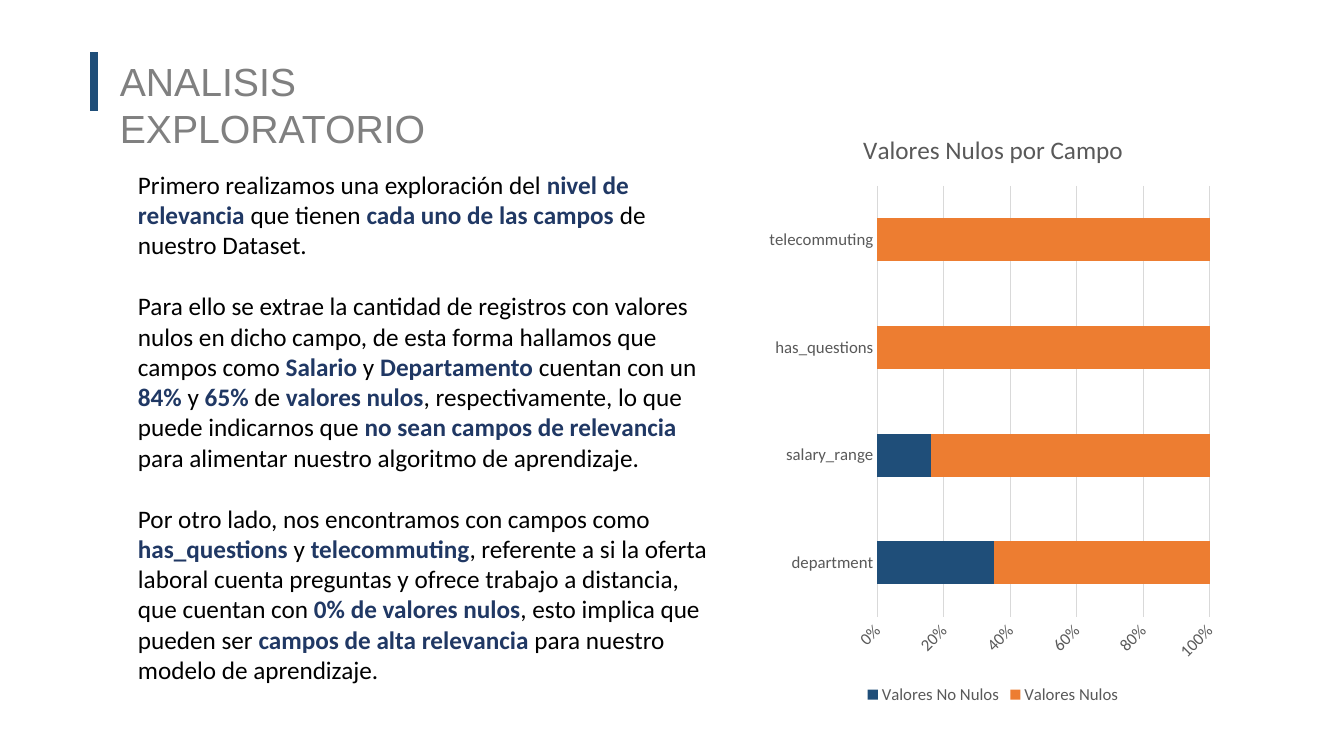
from dataclasses import dataclass

from lxml.etree import SubElement
from pptx import Presentation
from pptx.chart.data import CategoryChartData
from pptx.dml.color import RGBColor as RGB
from pptx.enum.chart import XL_CHART_TYPE as ChartType
from pptx.enum.chart import XL_LEGEND_POSITION as LegendPos
from pptx.enum.chart import XL_TICK_MARK as Tick
from pptx.enum.shapes import MSO_CONNECTOR as Connector
from pptx.oxml.ns import qn
from pptx.util import Inches, Pt


@dataclass(frozen=True)
class Theme:
    heading_font: str = "Arial"
    body_font: str = "Calibri"
    heading: RGB = RGB(0x80, 0x80, 0x80)
    body: RGB = RGB(0, 0, 0)
    strong: RGB = RGB(0x20, 0x38, 0x64)
    accent: RGB = RGB(0x1F, 0x4E, 0x79)
    contrast: RGB = RGB(0xED, 0x7D, 0x31)
    label: RGB = RGB(0x59, 0x59, 0x59)
    grid: RGB = RGB(0xD9, 0xD9, 0xD9)
    heading_size: Pt = Pt(28)
    body_size: Pt = Pt(18)
    label_size: Pt = Pt(12)
    paragraph_gap: Pt = Pt(22)
    bar_width: Pt = Pt(6)
    hairline: Pt = Pt(0.75)


T = Theme()
WIDTH, HEIGHT = Inches(13.33), Inches(7.5)

# Shares of the slide in percent: left, top, width, height
HEADING_BAR = (7, 6.93, 0, 7.74)
HEADING_BOX = (8.18, 6.93, 32.86, 7.6)
BODY_BOX = (9.53, 21.73, 43.96, 70)
CHART_BOX = (56.56, 14.67, 34.66, 79.07)

# Asterisks enclose the emphasised words
PARAGRAPHS = [
    "Primero realizamos una exploración del *nivel de relevancia *que tienen "
    "*cada uno de las campos *de nuestro Dataset.",
    "Para ello se extrae la cantidad de registros con valores nulos en dicho campo, "
    "de esta forma hallamos que campos como *Salario* y *Departamento* cuentan con un "
    "*84%* y *65%* de *valores nulos*, respectivamente, lo que puede indicarnos que "
    "*no sean campos de relevancia *para alimentar nuestro algoritmo de aprendizaje.",
    "Por otro lado, nos encontramos con campos como *has_questions *y *telecommuting*, "
    "referente a si la oferta laboral cuenta preguntas y ofrece trabajo a distancia, "
    "que cuentan con *0% de valores nulos*, esto implica que pueden ser "
    "*campos de alta relevancia *para nuestro modelo de aprendizaje.",
]
NULL_SHARES = {"department": 65, "salary_range": 84, "has_questions": 100, "telecommuting": 100}


def place(box):
    """Turn percent shares of the slide into lengths."""
    return [int(side * share / 100) for side, share in zip((WIDTH, HEIGHT) * 2, box)]


def set_font(font, name, size, color):
    font.name, font.size = name, size
    font.color.rgb = color


def add_bar(slide, box):
    x, y, w, h = place(box)
    line = slide.shapes.add_connector(Connector.STRAIGHT, x, y, x + w, y + h)
    line.line.color.rgb = T.accent
    line.line.width = T.bar_width
    SubElement(line._element.spPr, qn("a:effectLst"))


def add_text_frame(slide, box):
    tf = slide.shapes.add_textbox(*place(box)).text_frame
    tf.word_wrap = True
    return tf


def add_heading(slide, box, text):
    p = add_text_frame(slide, box).paragraphs[0]
    p.text = text
    set_font(p.font, T.heading_font, T.heading_size, T.heading)


def add_body(slide, box, paragraphs):
    tf = add_text_frame(slide, box)
    for i, text in enumerate(paragraphs):
        p = tf.add_paragraph() if i else tf.paragraphs[0]
        if i:
            p.space_before = T.paragraph_gap
        set_font(p.font, T.body_font, T.body_size, T.body)
        for j, piece in enumerate(text.split("*")):
            r = p.add_run()
            r.text = piece
            if j % 2:
                r.font.bold = True
                r.font.color.rgb = T.strong


def style_axis(axis):
    axis.major_tick_mark = axis.minor_tick_mark = Tick.NONE
    set_font(axis.tick_labels.font, T.body_font, T.label_size, T.label)


def style_line(line):
    line.color.rgb = T.grid
    line.width = T.hairline


def add_null_chart(slide, box, title, shares):
    data = CategoryChartData(number_format="0")
    data.categories = list(shares)
    data.add_series("Valores No Nulos", [100 - share for share in shares.values()])
    data.add_series("Valores Nulos", list(shares.values()))
    chart = slide.shapes.add_chart(ChartType.BAR_STACKED_100, *place(box), data).chart
    set_font(chart.font, T.body_font, T.label_size, T.label)

    p = chart.chart_title.text_frame.paragraphs[0]
    p.text = title
    set_font(p.font, T.body_font, T.body_size, T.label)
    p.font.bold = False
    chart.chart_title.include_in_layout = False

    plot = chart.plots[0]
    plot.gap_width, plot.overlap = 150, 100
    plot.vary_by_categories = False
    for series, color in zip(plot.series, (T.accent, T.contrast)):
        series.format.fill.solid()
        series.format.fill.fore_color.rgb = color

    fields, percent = chart.category_axis, chart.value_axis
    style_axis(fields)
    style_line(fields.format.line)
    style_axis(percent)
    percent.format.line.fill.background()
    percent.has_major_gridlines = True
    style_line(percent.major_gridlines.format.line)
    percent.tick_labels.number_format = "0%"
    percent.tick_labels.number_format_is_linked = False
    percent._element.find(qn("c:txPr")).find(qn("a:bodyPr")).set("rot", "-2700000")

    chart.has_legend = True
    chart.legend.position = LegendPos.BOTTOM
    chart.legend.include_in_layout = False
    set_font(chart.legend.font, T.body_font, T.label_size, T.label)


def main():
    prs = Presentation()
    prs.slide_width, prs.slide_height = WIDTH, HEIGHT
    slide = prs.slides.add_slide(prs.slide_layouts[6])
    add_bar(slide, HEADING_BAR)
    add_heading(slide, HEADING_BOX, "ANALISIS EXPLORATORIO")
    add_body(slide, BODY_BOX, PARAGRAPHS)
    add_null_chart(slide, CHART_BOX, "Valores Nulos por Campo", NULL_SHARES)
    prs.save("out.pptx")


if __name__ == "__main__":
    main()
